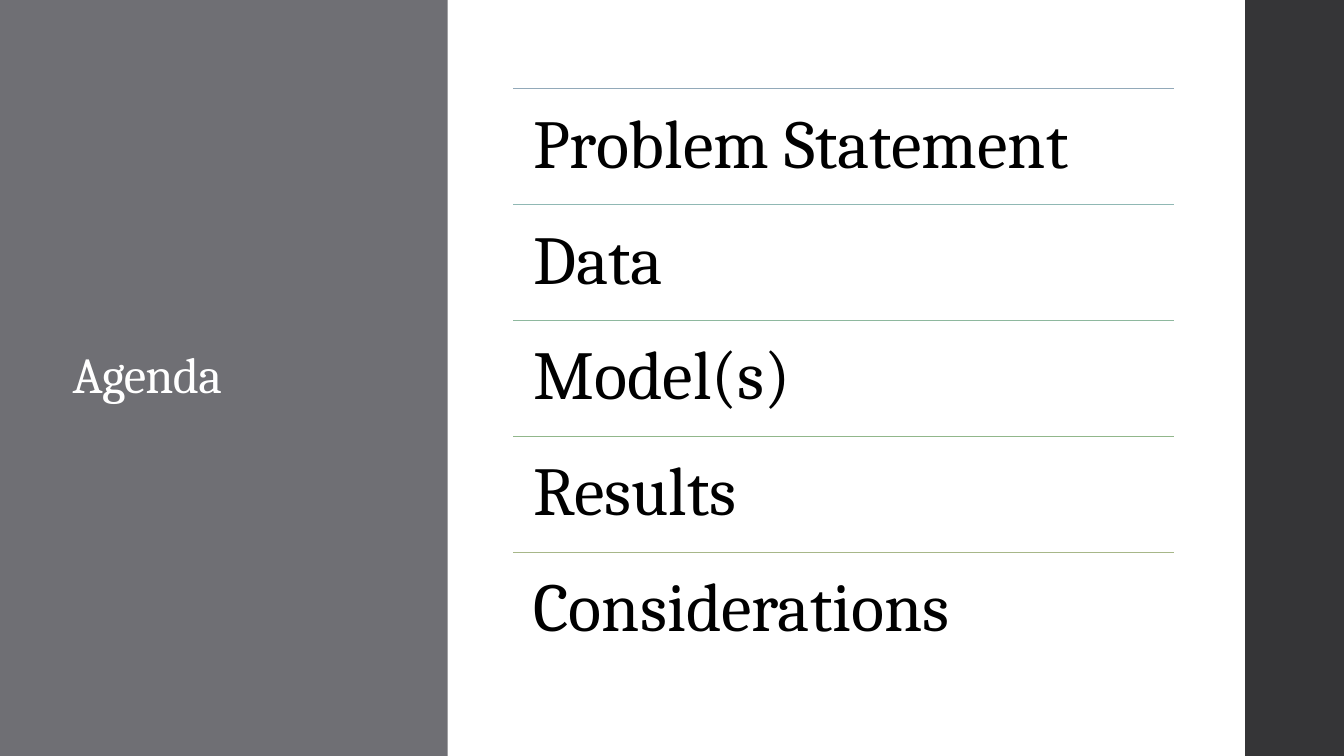
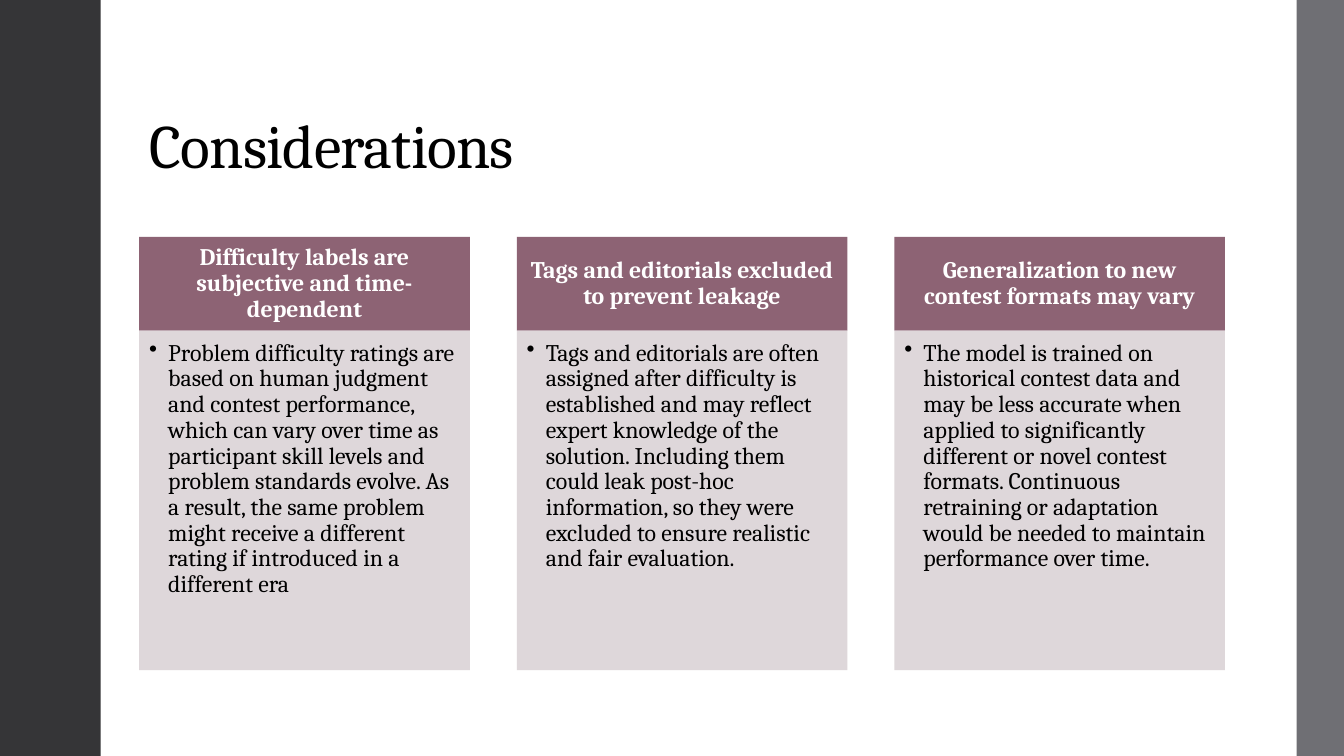
"""Build the agenda and considerations slides."""
from lxml.etree import SubElement as Sub
from pptx import Presentation
from pptx.dml.color import RGBColor as RGB
from pptx.enum.shapes import MSO_CONNECTOR as Link, MSO_SHAPE as Shape
from pptx.enum.text import MSO_ANCHOR as Anchor, MSO_AUTO_SIZE as Fit, PP_ALIGN as Align
from pptx.oxml.ns import qn
from pptx.util import Inches, Pt

HUES = {"dark": "353537", "gray": "6F6F74", "white": "FFFFFF", "black": "000000",
        "plum": "8D6374", "pale": "DBD3D6"}
RULES = ["92A9B9", "90B8B4", "8EB89E", "91B78B", "A7B789"]
ITEMS = ["Problem Statement", "Data", "Model(s)", "Results", "Considerations"]
CARDS = [
    ("Difficulty labels are subjective and time-dependent",
     "Problem difficulty ratings are based on human judgment and contest performance, "
     "which can vary over time as participant skill levels and problem standards evolve. "
     "As a result, the same problem might receive a different rating if introduced in a "
     "different era"),
    ("Tags and editorials excluded to prevent leakage",
     "Tags and editorials are often assigned after difficulty is established and may "
     "reflect expert knowledge of the solution. Including them could leak post-hoc "
     "information, so they were excluded to ensure realistic and fair evaluation."),
    ("Generalization to new contest formats may vary",
     "The model is trained on historical contest data and may be less accurate when "
     "applied to significantly different or novel contest formats. Continuous retraining "
     "or adaptation would be needed to maintain performance over time."),
]
PAGES = [
    {"title": "Agenda", "box": (0.62, 0.91, 2.97, 5.67), "size": 36, "hue": "white",
     "anchor": Anchor.MIDDLE, "bands": [(0, 4.44, "gray"), (12.35, 1, "dark")]},
    {"title": "Considerations", "box": (1.38, 0.4, 10.78, 1.45), "size": 44, "hue": "black",
     "anchor": Anchor.BOTTOM, "bands": [(0, 1, "dark"), (12.86, 0.5, "gray")]},
]


def block(slide, box, hue):
    shape = slide.shapes.add_shape(Shape.RECTANGLE, *map(Inches, box))
    shape.shadow.inherit = False
    shape.fill.solid()
    shape.fill.fore_color.rgb = RGB.from_string(HUES[hue])
    shape.line.fill.background()
    return shape


def write(shape, text, size, hue, pads, anchor=Anchor.TOP, align=Align.LEFT, bold=False):
    frame = shape.text_frame
    left, top, right, foot = map(Inches, pads)
    form = {"word_wrap": True, "auto_size": Fit.NONE, "vertical_anchor": anchor,
            "margin_left": left, "margin_top": top,
            "margin_right": right, "margin_bottom": foot}
    for key, val in form.items():
        setattr(frame, key, val)
    para = frame.paragraphs[0]
    para.alignment = align
    para.line_spacing = 0.9
    run = para.add_run()
    run.text = text
    for key, val in {"name": "Cambria", "size": Pt(size), "bold": bold}.items():
        setattr(run.font, key, val)
    run.font.color.rgb = RGB.from_string(HUES[hue])
    return para


deck = Presentation()
deck.slide_width, deck.slide_height = Inches(13.33), Inches(7.5)
slides = []
for page in PAGES:
    slide = deck.slides.add_slide(deck.slide_layouts[5])
    for left, width, hue in page["bands"]:
        block(slide, (left, 0, width, 7.5), hue)
    title = slide.shapes.title
    title.left, title.top, title.width, title.height = map(Inches, page["box"])
    para = write(title, page["title"], page["size"], page["hue"],
                 (0.1, 0.05, 0.1, 0.05), page["anchor"])
    para.runs[0].font._element.set("spc", "-50")
    slide.shapes._spTree.append(title._element)
    slides.append(slide)
agenda, cards = slides

LEFT, WIDE, STEP = 5.09, 6.55, 1.15
for row, (item, hue) in enumerate(zip(ITEMS, RULES)):
    top = 0.88 + row * STEP
    rule = agenda.shapes.add_connector(
        Link.STRAIGHT, *map(Inches, (LEFT, top, LEFT + WIDE, top)))
    rule.line.color.rgb = RGB.from_string(hue)
    rule.line.width = Pt(1.1)
    Sub(rule._element.spPr, qn("a:effectLst"))
    area = agenda.shapes.add_textbox(*map(Inches, (LEFT, top, WIDE, STEP)))
    write(area, item, 49, "black", (0.2,) * 4)

for col, (head, body) in enumerate(CARDS):
    left = 1.38 + col * 3.745
    cap = block(cards, (left, 2.35, 3.28, 0.93), "plum")
    write(cap, head, 17, "white", (0.13, 0.08, 0.13, 0.08),
          Anchor.MIDDLE, Align.CENTER, True)
    panel = block(cards, (left, 3.28, 3.28, 3.37), "pale")
    tint = panel._element.spPr.find(qn("a:solidFill"))[0]
    Sub(tint, qn("a:alpha"), val="90000")
    para = write(panel, body, 17, "black", (0.1, 0.1, 0.13, 0.15))
    props = para._p.get_or_add_pPr()
    for key, val in {"marL": 0.19, "indent": -0.19}.items():
        props.set(key, str(Inches(val)))
    Sub(props, qn("a:buChar"), char="•")

deck.save("out.pptx")
